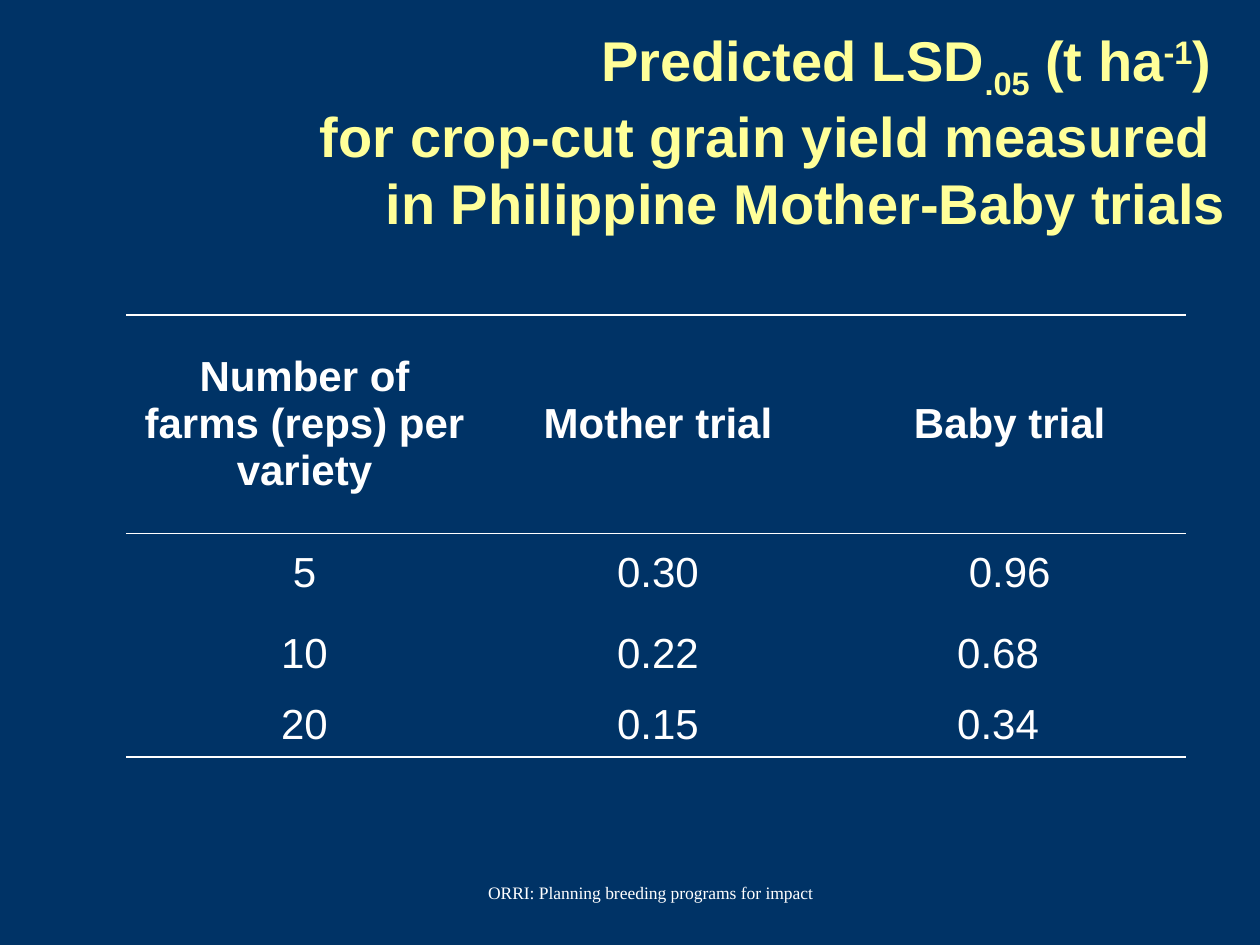
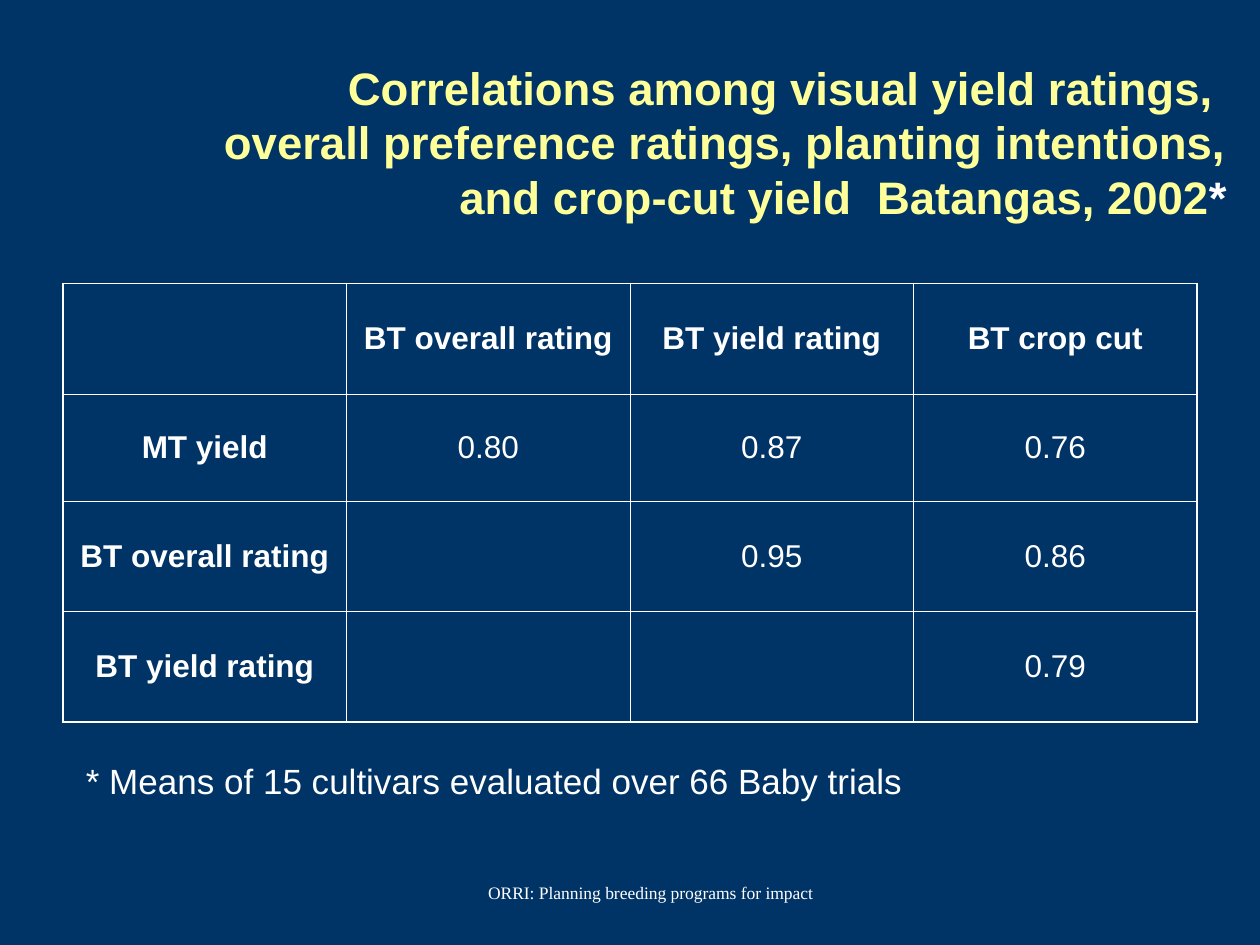
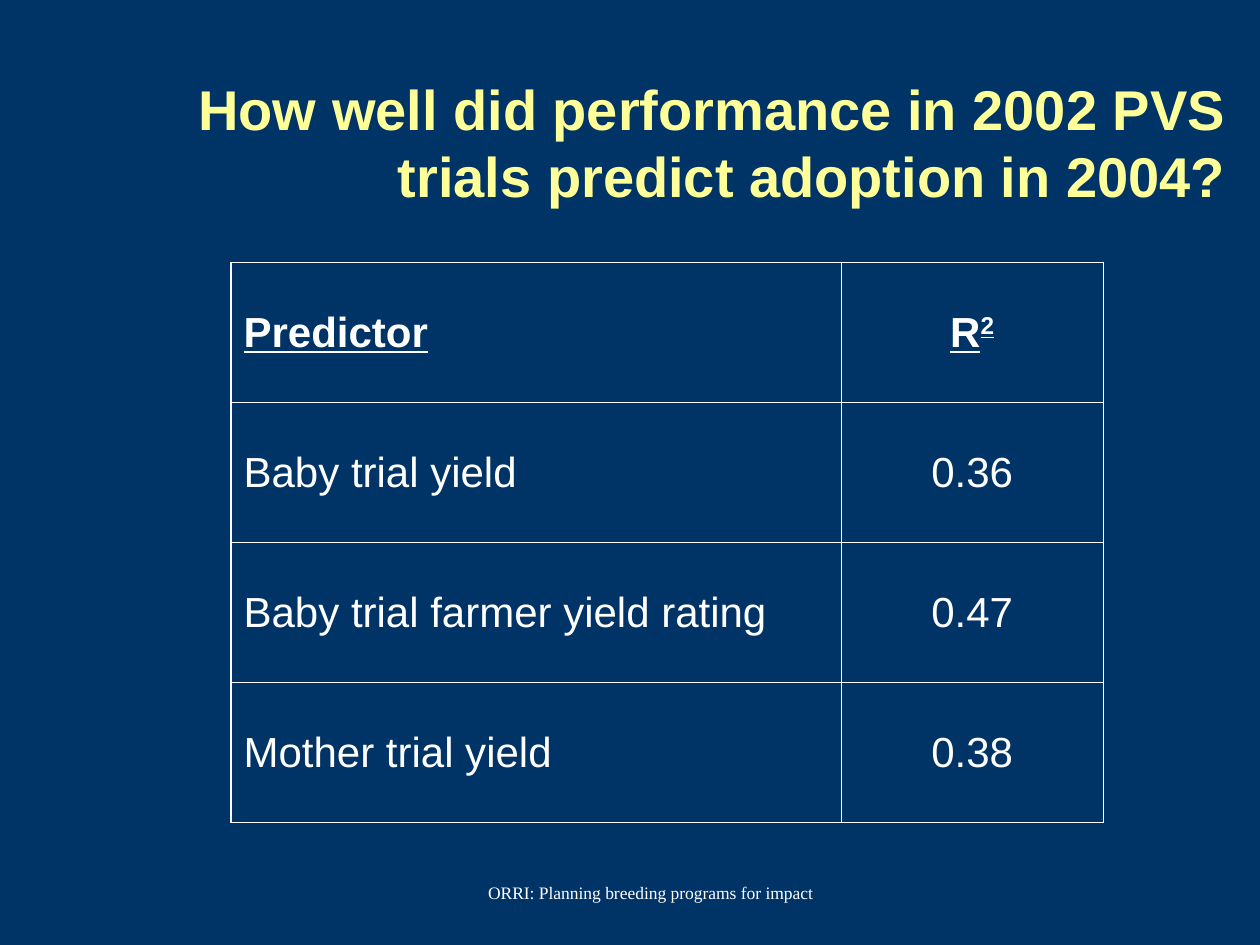
from dataclasses import dataclass, field
from typing import Any

from lxml import etree
from pptx import Presentation
from pptx.dml.color import RGBColor
from pptx.enum.text import MSO_ANCHOR, PP_ALIGN
from pptx.oxml.ns import qn
from pptx.util import Pt

LEFT, MID, RIGHT = PP_ALIGN.LEFT, PP_ALIGN.CENTER, PP_ALIGN.RIGHT
TOP, CENTRE = MSO_ANCHOR.TOP, MSO_ANCHOR.MIDDLE

HUES = {"navy": "003366", "white": "FFFFFF", "cream": "FFFF99"}
THICK, THIN = 1.08, 0.45
BOLD = {"bold": True}
HEAD = {"bold": True, "underline": True}
SUPER = {"baseline": "30000"}
SUB = {"baseline": "-25000"}
WIDE = {"spc": "720"}
FOOT = "ORRI: Planning breeding programs for impact"


@dataclass
class Run:
    text: str
    attrs: dict[str, str] = field(default_factory=dict)
    hue: str = ""


@dataclass
class Box:
    left: float
    top: float
    width: float
    height: float
    runs: list[Run]
    size: float
    hue: str = "white"
    face: str = "Arial"
    bold: bool = False
    align: Any = RIGHT
    anchor: Any = CENTRE
    before: float = 0
    insets: dict[str, float] = field(default_factory=dict)


@dataclass
class Grid:
    left: float
    top: float
    cols: list[float]
    rows: list[float]
    cells: list[list[Any]]
    size: float
    before: float
    ruled: bool = True
    head: dict[str, bool] = field(default_factory=lambda: BOLD)
    label: dict[str, bool] = field(default_factory=dict)
    first: Any = MID
    pads: dict[tuple[int, int], float] = field(default_factory=dict)


def title(runs: list[Run], size: float = 32, left: float = 96,
          top: float = 36, **more: Any) -> Box:
    return Box(left, top, 708 - left, 90, runs, size, "cream", bold=True, **more)


def tint(hue: str) -> RGBColor:
    return RGBColor.from_string(HUES[hue])


def write(para: Any, runs: list[Run], face: str, size: float, hue: str,
          style: dict[str, bool]) -> None:
    for item in runs:
        for num, part in enumerate(item.text.split("\n")):
            if num:
                para.add_line_break()
            if not part:
                continue
            run = para.add_run()
            run.text = part
            look = {"name": face, "size": Pt(size), "bold": False} | style
            for key, value in look.items():
                setattr(run.font, key, value)
            run.font.color.rgb = tint(item.hue or hue)
            for key, value in item.attrs.items():
                run._r.get_or_add_rPr().set(key, value)


def draw_box(slide: Any, box: Box) -> None:
    shape = slide.shapes.add_textbox(
        Pt(box.left), Pt(box.top), Pt(box.width), Pt(box.height))
    frame = shape.text_frame
    look = {"word_wrap": True, "vertical_anchor": box.anchor}
    look |= {key: Pt(value) for key, value in box.insets.items()}
    for key, value in look.items():
        setattr(frame, key, value)
    para = frame.paragraphs[0]
    para.alignment = box.align
    para.space_before = Pt(box.before)
    write(para, box.runs, box.face, box.size, box.hue, {"bold": box.bold})


def edge(cell: Any, side: str, width: float) -> None:
    line = etree.SubElement(cell._tc.get_or_add_tcPr(), qn(f"a:ln{side}"))
    if not width:
        etree.SubElement(line, qn("a:noFill"))
        return
    line.set("w", str(Pt(width)))
    fill = etree.SubElement(line, qn("a:solidFill"))
    etree.SubElement(fill, qn("a:srgbClr")).set("val", HUES["white"])


def widths(grid: Grid, row: int, col: int) -> dict[str, float]:
    inner = THIN if grid.ruled else 0
    outer = THICK if grid.ruled else 0
    return {
        "L": inner if col else outer,
        "R": inner if col < len(grid.cols) - 1 else outer,
        "T": THICK if row == 0 else THIN if row == 1 else inner,
        "B": THICK if row == len(grid.rows) - 1 else inner if row else THIN,
    }


def draw_grid(slide: Any, grid: Grid) -> None:
    table = slide.shapes.add_table(
        len(grid.rows), len(grid.cols), Pt(grid.left), Pt(grid.top),
        Pt(sum(grid.cols)), Pt(sum(grid.rows))).table
    table.first_row = table.horz_banding = False
    for col, width in zip(table.columns, grid.cols):
        col.width = Pt(width)
    for row, height in zip(table.rows, grid.rows):
        row.height = Pt(height)
    for y, line in enumerate(grid.cells):
        for x, text in enumerate(line):
            cell = table.cell(y, x)
            cell.vertical_anchor = CENTRE
            cell.margin_right = Pt(grid.pads.get((y, x), 7.2))
            for side, width in widths(grid, y, x).items():
                edge(cell, side, width)
            cell.fill.background()
            para = cell.text_frame.paragraphs[0]
            para.alignment = MID if x else grid.first
            para.space_before = Pt(grid.before)
            para.font.size = Pt(grid.size)
            style = grid.head if y == 0 else {} if x else grid.label
            runs = [Run(text)] if isinstance(text, str) else text
            write(para, runs, "Arial", grid.size, "white", style)


FOOTER = Box(210, 492, 306, 36, [Run(FOOT)], 10, face="Times New Roman",
             align=MID, insets={"margin_left": 24.5})

SLIDES = [
    [
        Grid(72, 180, [204, 200, 202], [124.5, 46, 46, 36], [
            ["Number of farms (reps) per variety", "Mother trial", "Baby trial"],
            ["5", "0.30", "0.96"],
            ["10", "0.22", "0.68"],
            ["20", "0.15", "0.34"],
        ], 24, 6, ruled=False, pads={(2, 2): 20.5, (3, 2): 20.5}),
        title([
            Run("Predicted LSD"), Run(".05", SUB), Run(" (t ha"),
            Run("-1", SUPER),
            Run(") \nfor crop-cut grain yield measured \n"
                "in Philippine Mother-Baby trials"),
        ], left=18, top=48, insets={"margin_bottom": 40.4}),
    ],
    [
        Box(42, 430.5, 630, 31.5,
            [Run("* Means of 15 cultivars evaluated over 66 Baby trials")],
            20, align=LEFT, anchor=TOP, before=12.5),
        Grid(36, 162, [162] * 4, [63.2, 61.2, 63.2, 63.2], [
            ["", "BT overall rating", "BT yield rating", "BT crop cut"],
            ["MT yield", "0.80", "0.87", "0.76"],
            ["BT overall rating", "", "0.95", "0.86"],
            ["BT yield rating", "", "", "0.79"],
        ], 18, 4.5, label=BOLD),
        title([
            Run("Correlations among visual yield ratings, \n"
                "overall preference ratings, planting intentions, "
                "and crop-cut yield"),
            Run(" ", WIDE), Run("Batangas, 2002"), Run("*", hue="white"),
        ], 26),
    ],
    [
        Grid(132, 150, [348.5, 150], [80] * 4, [
            ["Predictor", [Run("R"), Run("2", SUPER)]],
            ["Baby trial yield", "0.36"],
            ["Baby trial farmer yield rating", "0.47"],
            ["Mother trial yield", "0.38"],
        ], 24, 6, head=HEAD, first=LEFT),
        title([Run("How well did performance in 2002 PVS trials "
                   "predict adoption in 2004?")]),
    ],
]


def main() -> None:
    deck = Presentation()
    deck.slide_width, deck.slide_height = Pt(720), Pt(540)
    for parts in SLIDES:
        slide = deck.slides.add_slide(deck.slide_layouts[6])
        fill = slide.background.fill
        fill.solid()
        fill.fore_color.rgb = tint("navy")
        for part in [*parts, FOOTER]:
            draw = draw_grid if isinstance(part, Grid) else draw_box
            draw(slide, part)
    deck.save("out.pptx")


if __name__ == "__main__":
    main()
